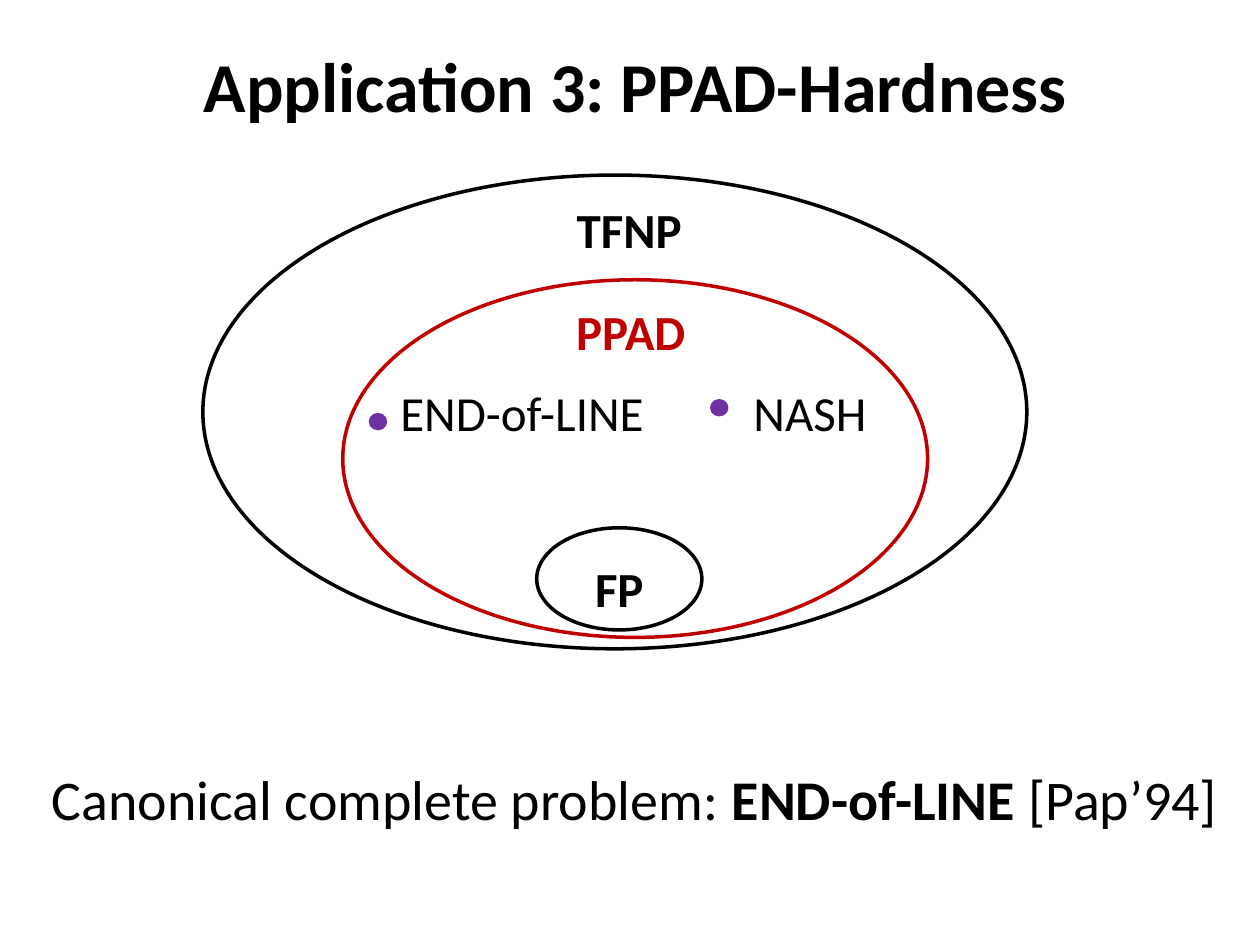
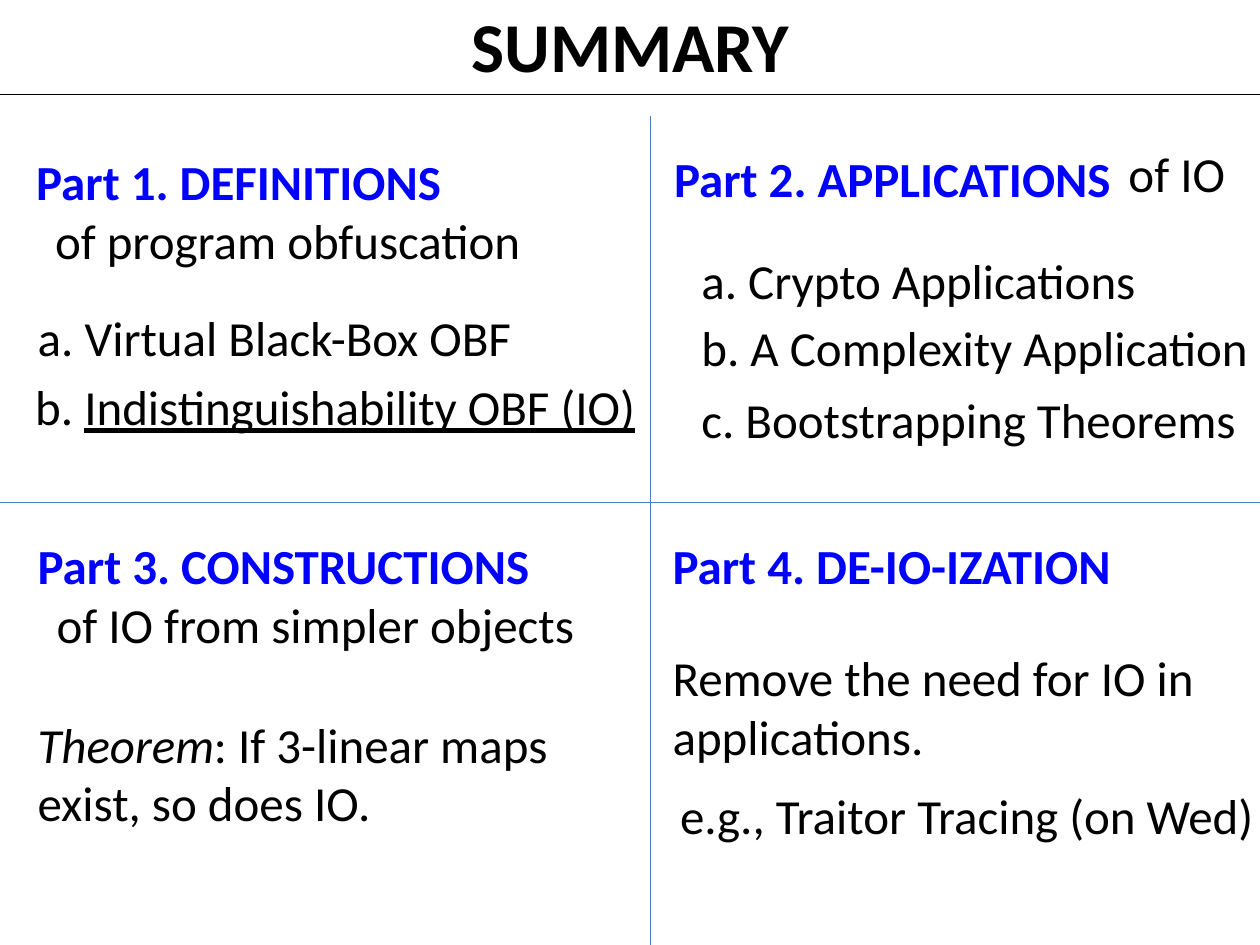
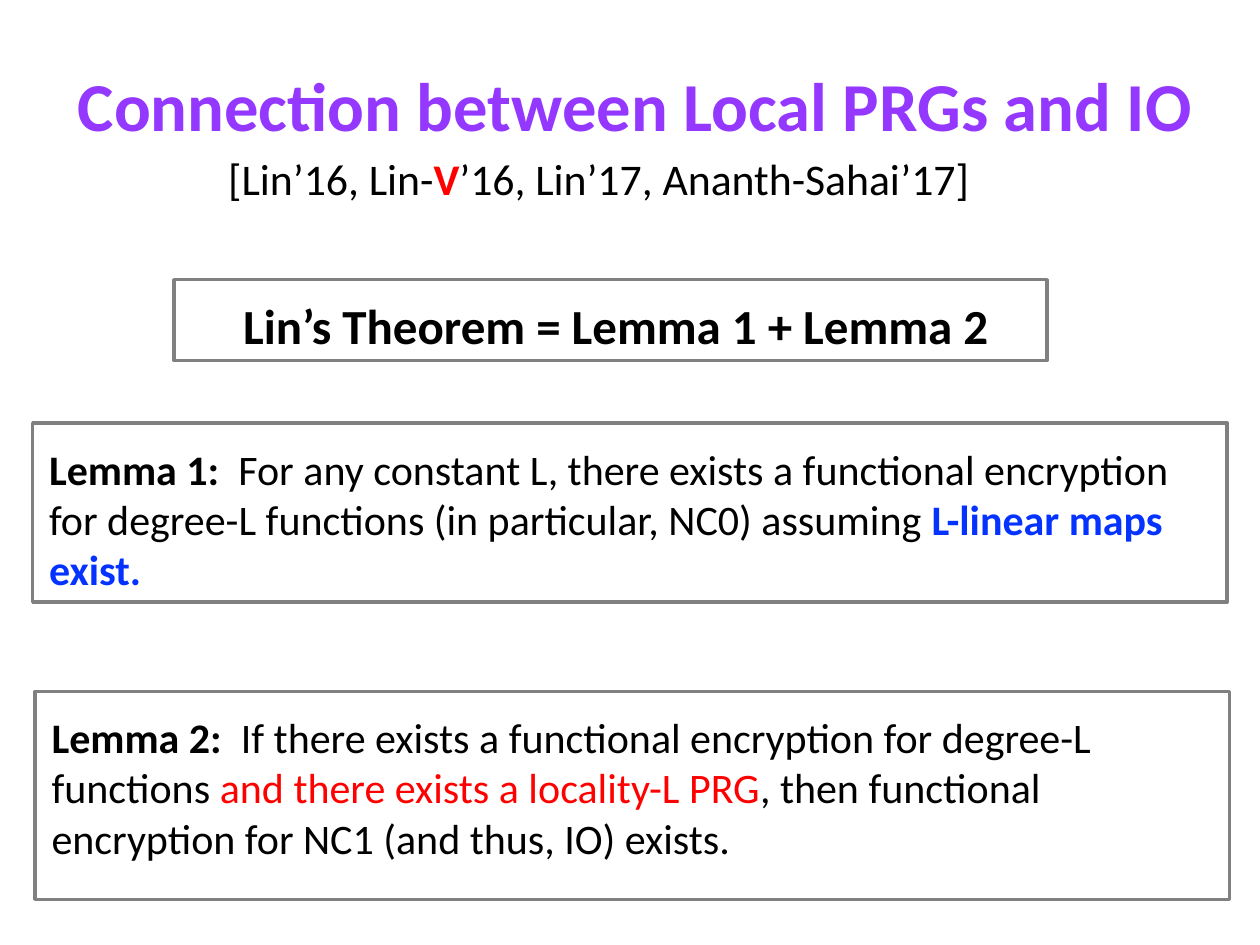
from dataclasses import dataclass
from typing import Optional

import lxml.etree
import pptx
import pptx.dml.color
import pptx.enum.shapes
import pptx.enum.text
import pptx.oxml.ns
import pptx.presentation
import pptx.shapes.autoshape
import pptx.slide
import pptx.text.text
import pptx.util

Cm = pptx.util.Cm
Pt = pptx.util.Pt
ALIGN = pptx.enum.text.PP_ALIGN
ANCHOR = pptx.enum.text.MSO_ANCHOR
PRESET = pptx.enum.shapes.MSO_SHAPE

COLORS = {
    "black": "000000",
    "white": "FFFFFF",
    "crimson": "C00000",
    "red": "FF0000",
    "blue": "0000FF",
    "azure": "0433FF",
    "violet": "9437FF",
    "purple": "7030A0",
    "gray": "808080",
    "divider": "4B7EBC",
}
FONT = "Calibri"
TITLE_SIZE = 40
BODY_SIZE = 28
LEMMA_SIZE = 24
TITLE_HEIGHT = 1.98
LINE_HEIGHT = 1.45
TWO_LINES = 2.64
TIGHT = 0.13


@dataclass(frozen=True)
class Box:
    left: float
    top: float
    width: float
    height: float

    def lengths(self) -> tuple:
        return Cm(self.left), Cm(self.top), Cm(self.width), Cm(self.height)


@dataclass(frozen=True)
class Run:
    text: str
    bold: Optional[bool] = None
    italic: Optional[bool] = None
    underline: Optional[bool] = None
    color: Optional[str] = None


@dataclass(frozen=True)
class Label:
    box: Box
    runs: tuple[Run, ...]
    size: float = BODY_SIZE
    bold: bool = False
    color: str = "black"
    centered: bool = False
    spacing: Optional[float] = None
    inset: Optional[float] = None
    middle: bool = False


@dataclass(frozen=True)
class Outline:
    box: Box
    color: str
    preset: PRESET = PRESET.OVAL
    fill: Optional[str] = None
    weight: float = 2


def rgb(name: str) -> pptx.dml.color.RGBColor:
    return pptx.dml.color.RGBColor.from_string(COLORS[name])


def write(frame: pptx.text.text.TextFrame, label: Label) -> None:
    frame.word_wrap = True
    frame.vertical_anchor = ANCHOR.MIDDLE if label.middle else ANCHOR.TOP
    if label.inset is not None:
        frame.margin_left = frame.margin_right = Cm(label.inset)
        frame.margin_top = frame.margin_bottom = Cm(label.inset)
    paragraph = frame.paragraphs[0]
    paragraph.alignment = ALIGN.CENTER if label.centered else ALIGN.LEFT
    if label.spacing:
        paragraph.line_spacing = label.spacing
    paragraph.font.name = FONT
    paragraph.font.size = Pt(label.size)
    paragraph.font.bold = label.bold
    paragraph.font.color.rgb = rgb(label.color)
    for part in label.runs:
        run = paragraph.add_run()
        run.text = part.text
        for style in ("bold", "italic", "underline"):
            if getattr(part, style) is not None:
                setattr(run.font, style, getattr(part, style))
        if part.color:
            run.font.color.rgb = rgb(part.color)


def add_label(slide: pptx.slide.Slide, label: Label) -> None:
    write(slide.shapes.add_textbox(*label.box.lengths()).text_frame, label)


def add_outline(slide: pptx.slide.Slide, outline: Outline) -> pptx.shapes.autoshape.Shape:
    shape = slide.shapes.add_shape(outline.preset, *outline.box.lengths())
    shape.shadow.inherit = False
    if outline.fill:
        shape.fill.solid()
        shape.fill.fore_color.rgb = rgb(outline.fill)
    else:
        shape.fill.background()
    shape.line.color.rgb = rgb(outline.color)
    shape.line.width = Pt(outline.weight)
    return shape


def add_divider(slide: pptx.slide.Slide, start: tuple, end: tuple) -> None:
    connector = slide.shapes.add_connector(
        pptx.enum.shapes.MSO_CONNECTOR.STRAIGHT, *map(Cm, start + end)
    )
    connector.line.color.rgb = rgb("divider")
    connector.line.width = Pt(0.75)
    lxml.etree.SubElement(connector._element.spPr, pptx.oxml.ns.qn("a:effectLst"))


def title(text: str, box: Box, **style) -> Label:
    return Label(box, (Run(text),), **{"size": TITLE_SIZE, "bold": True, "centered": True, **style})


def add_slide(presentation: pptx.presentation.Presentation) -> pptx.slide.Slide:
    return presentation.slides.add_slide(presentation.slide_layouts[6])


def build_hardness(slide: pptx.slide.Slide) -> None:
    add_label(slide, title("Application 3: PPAD-Hardness", Box(0.71, 0.74, 24.2, TITLE_HEIGHT)))
    classes = (
        ("FP", "black", Box(10.82, 10.64, 3.33, 2.06), 10.26, 10.54),
        ("TFNP", "black", Box(4.09, 3.53, 16.61, 9.55), 10.46, 3.3),
        ("PPAD", "crimson", Box(6.91, 5.64, 11.79, 7.21), 10.49, 5.36),
    )
    for name, color, box, left, top in classes:
        add_outline(slide, Outline(box, color))
        add_label(slide, Label(Box(left, top, 4.45, 1.83), (Run(name),), bold=True,
                               color=color, centered=True, spacing=1.5))
    problems = (
        ("NASH", 14.94, 4.45, 14.35, 8.08),
        ("END-of-LINE", 7.82, 5.66, 7.47, 8.36),
    )
    for name, left, width, dot_left, dot_top in problems:
        add_label(slide, Label(Box(left, 6.99, width, 1.83), (Run(name),), spacing=1.5))
        add_outline(slide, Outline(Box(dot_left, dot_top, 0.3, 0.28), "purple", fill="purple"))
    add_label(slide, Label(
        Box(-0.71, 15.29, 27, 1.63),
        (Run("Canonical complete problem: "), Run("END-of-LINE ", bold=True), Run("[Pap’94]")),
        size=32, centered=True,
    ))


def build_summary(slide: pptx.slide.Slide) -> None:
    banner = Box(-2.49, -0.08, 30.4, TITLE_HEIGHT)
    shape = add_outline(slide, Outline(banner, "black", PRESET.RECTANGLE, "white", 0.75))
    write(shape.text_frame, title("SUMMARY", banner))
    add_divider(slide, (13.11, 2.34), (13.11, 20.12))
    add_divider(slide, (-1.09, 10.13), (29.49, 10.13))
    headings = (
        ("Part 1. DEFINITIONS", 0.48, 2.92),
        ("Part 2. APPLICATIONS", 13.34, 2.87),
        ("Part 3. CONSTRUCTIONS", 0.51, 10.67),
        ("Part 4. DE-IO-IZATION", 13.31, 10.67),
    )
    for text, left, top in headings:
        add_label(slide, Label(Box(left, top, 11.1, LINE_HEIGHT), (Run(text),),
                               bold=True, color="blue"))
    details = (
        (Box(0.86, 4.11, 11.25, LINE_HEIGHT), Run("of program obfuscation")),
        (Box(0.51, 6.07, 13.84, LINE_HEIGHT), Run("a. Virtual Black-Box OBF")),
        (Box(0.46, 7.47, 12.88, LINE_HEIGHT), Run("b. "),
         Run("Indistinguishability OBF (IO)", underline=True)),
        (Box(22.5, 2.77, 2.9, LINE_HEIGHT), Run("of IO")),
        (Box(13.89, 4.93, 13.84, LINE_HEIGHT), Run("a. Crypto Applications")),
        (Box(13.89, 6.27, 13.84, LINE_HEIGHT), Run("b. A Complexity Application")),
        (Box(13.89, 7.72, 13.84, LINE_HEIGHT), Run("c. Bootstrapping Theorems")),
        (Box(0.89, 11.86, 11.25, LINE_HEIGHT), Run("of IO from simpler objects")),
        (Box(0.51, 14.27, 11.25, TWO_LINES), Run("Theorem", italic=True),
         Run(": If 3-linear maps exist, so does IO.")),
        (Box(13.31, 12.93, 11.25, TWO_LINES), Run("Remove the need for IO in applications.")),
        (Box(13.46, 15.72, 12.24, LINE_HEIGHT), Run("e.g., Traitor Tracing (on Wed)")),
    )
    for box, *runs in details:
        add_label(slide, Label(box, tuple(runs)))


def build_connection(slide: pptx.slide.Slide) -> None:
    add_label(slide, title("Connection between Local PRGs and IO",
                           Box(0.71, 1.14, 24.2, TITLE_HEIGHT),
                           size=39.2, color="violet", inset=TIGHT))
    add_label(slide, Label(
        Box(-0.03, 2.92, 24.2, TITLE_HEIGHT),
        (Run("[Lin’16, Lin-"), Run("V", bold=True, color="red"),
         Run("’16, Lin’17, Ananth-Sahai’17]")),
        size=25, centered=True, inset=TIGHT,
    ))
    add_label(slide, title("Lin’s Theorem = Lemma 1 + Lemma 2",
                           Box(0.51, 5.82, 23.8, LINE_HEIGHT),
                           size=BODY_SIZE, inset=TIGHT, middle=True))
    add_outline(slide, Outline(Box(3.51, 5.64, 17.6, 1.63), "gray", PRESET.RECTANGLE))
    lemmas = (
        (Box(0.66, 8.53, 24.08, 3.61), (
            Run("Lemma 1:  ", bold=True),
            Run("For any constant L, there exists a functional encryption for degree-L "
                "functions (in particular, NC0) assuming "),
            Run("L-linear maps exist.", bold=True, color="azure"),
        )),
        (Box(0.71, 13.94, 24.08, 4.19), (
            Run("Lemma 2:  ", bold=True),
            Run("If there exists a functional encryption for degree-L functions "),
            Run("and there exists a locality-L PRG", color="red"),
            Run(", then functional encryption for NC1 (and thus, IO) exists."),
        )),
    )
    for box, runs in lemmas:
        add_label(slide, Label(Box(box.left + 0.2, box.top + 0.26, 23.8, 3.33), runs,
                               size=LEMMA_SIZE, inset=TIGHT, middle=True))
        add_outline(slide, Outline(box, "gray", PRESET.RECTANGLE))


def main() -> None:
    presentation = pptx.Presentation()
    presentation.slide_width = Cm(25.4)
    presentation.slide_height = Cm(19.05)
    for build in (build_hardness, build_summary, build_connection):
        build(add_slide(presentation))
    presentation.save("out.pptx")


if __name__ == "__main__":
    main()
